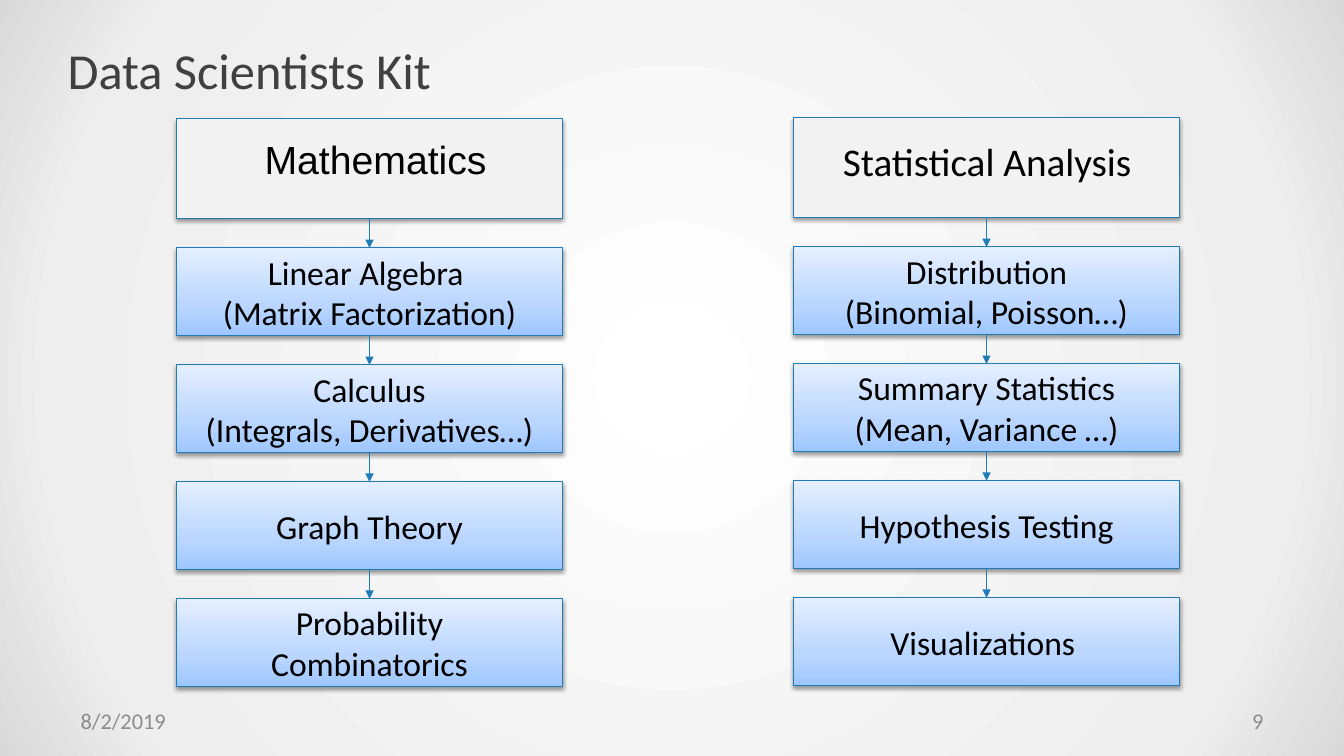
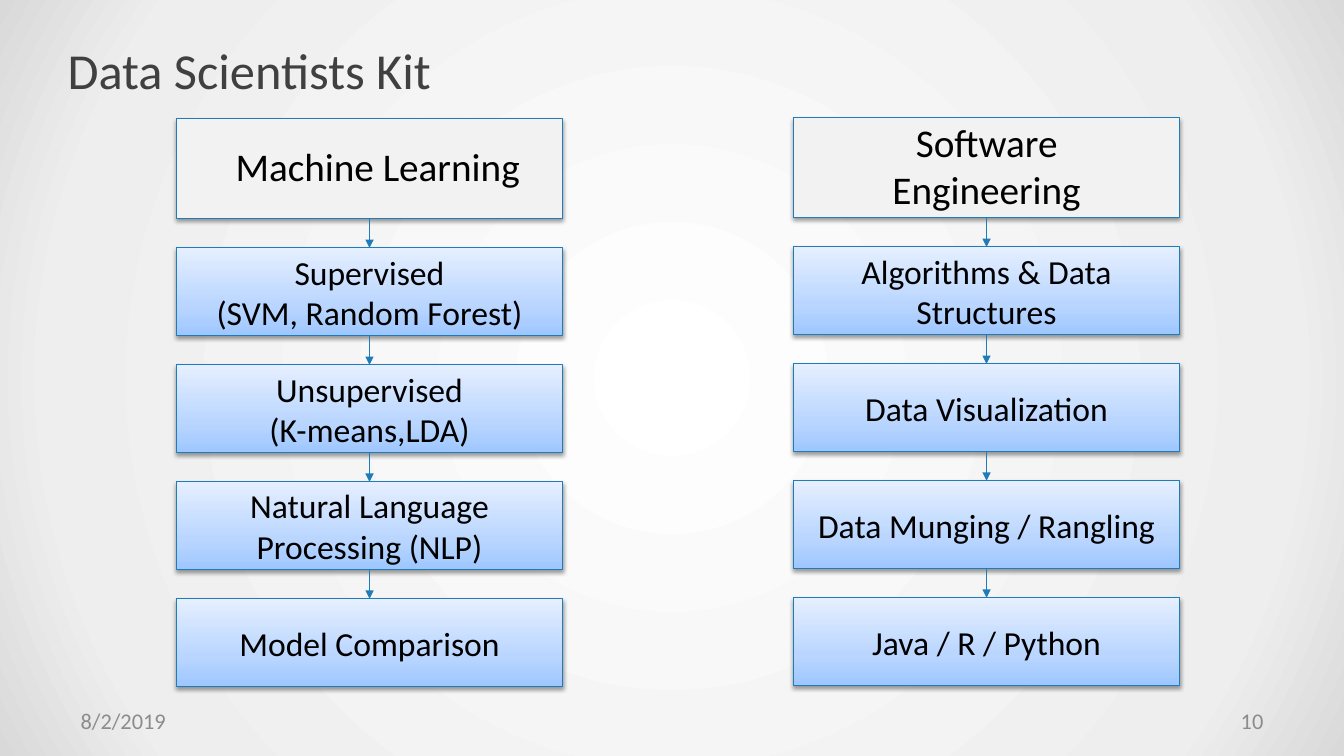
from lxml import etree
from pptx import Presentation
from pptx.dml.color import RGBColor
from pptx.enum.shapes import MSO_CONNECTOR as CONN, MSO_SHAPE as SHAPE
from pptx.enum.text import MSO_ANCHOR as ANCHOR, PP_ALIGN as ALIGN
from pptx.oxml.ns import qn
from pptx.util import Inches, Pt

BLACK = RGBColor(0x00, 0x00, 0x00)
TITLE_GREY = RGBColor(0x40, 0x40, 0x40)
FOOTER_GREY = RGBColor(0x8C, 0x8C, 0x8C)
HEAD_FILL = RGBColor(0xF2, 0xF2, 0xF2)
BLUE = RGBColor(0x20, 0x7B, 0xB9)
BOX_STOPS = [
    (0, RGBColor(0x9E, 0xC7, 0xFF)),
    (35, RGBColor(0xBA, 0xD6, 0xFF)),
    (100, RGBColor(0xE5, 0xEF, 0xFF)),
]
PAGE_STOPS = [
    (0, RGBColor(0xFF, 0xFF, 0xFF)),
    (81, RGBColor(0xEE, 0xEE, 0xEE)),
    (100, RGBColor(0xD9, 0xD9, 0xD9)),
]

# Grid, in inches
COLUMNS = [(1.75, 1.18), (7.87, 1.17)]  # left, top
BOX_W, HEAD_H, STEP_H, GAP = 3.83, 0.99, 0.87, 0.29
MARGIN, FOOT_Y, FOOT_W, FOOT_H = 0.67, 6.95, 3.11, 0.4

# Each column: heading lines, heading font, heading frame, steps
SLIDES = [
    (9, [
        (["Mathematics"], "Arial", (2.51, 1.29, 2.43, 0.57), [
            ["Linear Algebra ", "(Matrix Factorization)"],
            ["Calculus", "(Integrals, Derivatives…)"],
            ["Graph Theory"],
            ["Probability", "Combinatorics"],
        ]),
        (["Statistical Analysis"], "Calibri", (8.24, 1.31, 3.1, 0.57), [
            ["Distribution", "(Binomial, Poisson…)"],
            ["Summary Statistics", "(Mean, Variance …)"],
            ["Hypothesis Testing"],
            ["Visualizations "],
        ]),
    ]),
    (10, [
        (["Machine Learning"], "Calibri", (2.22, 1.36, 3.05, 0.57), [
            ["Supervised", "(SVM, Random Forest)"],
            ["Unsupervised", "(K-means,LDA)"],
            ["Natural Language Processing (NLP)"],
            ["Model Comparison"],
        ]),
        (["Software", "Engineering"], "Calibri", (8.74, 1.12, 2.09, 1.04), [
            ["Algorithms & Data Structures"],
            ["Data Visualization"],
            ["Data Munging / Rangling"],
            ["Java / R / Python"],
        ]),
    ]),
]


def set_stops(grad, stops):
    """Replace the colour stops of a gradFill element."""
    gs_list = grad.find(qn("a:gsLst"))
    for gs in list(gs_list):
        gs_list.remove(gs)
    for pos, color in stops:
        gs = etree.SubElement(gs_list, qn("a:gs"), pos=str(pos * 1000))
        etree.SubElement(gs, qn("a:srgbClr"), val=str(color))


def write(sp, lines, size, color=BLACK, align=ALIGN.CENTER, font="Calibri"):
    tf = sp.text_frame
    for i, line in enumerate(lines):
        p = tf.add_paragraph() if i else tf.paragraphs[0]
        p.alignment = align
        r = p.add_run()
        r.text = line
        r.font.name, r.font.size = font, Pt(size)
        r.font.color.rgb = color


prs = Presentation()
prs.slide_width, prs.slide_height = Inches(13.33), Inches(7.5)

# Shared radial background
master = prs.slide_master
master.background.fill.gradient()
grad = next(master.element.iter(qn("a:gradFill")))
set_stops(grad, PAGE_STOPS)
grad.remove(grad.find(qn("a:lin")))
radial = etree.SubElement(grad, qn("a:path"), path="circle")
etree.SubElement(radial, qn("a:fillToRect"), l="50000", t="50000", r="50000", b="50000")

for number, columns in SLIDES:
    slide = prs.slides.add_slide(prs.slide_layouts[6])
    shapes = slide.shapes

    # Title, date and slide number
    for text, frame, inset, size, color, align in [
        ("Data Scientists Kit", (MARGIN, 0.3, 12, 0.78), 0, 36, TITLE_GREY, ALIGN.LEFT),
        ("8/2/2019", (MARGIN, FOOT_Y, FOOT_W, FOOT_H), 0.13, 16, FOOTER_GREY, ALIGN.LEFT),
        (str(number), (9.55, FOOT_Y, FOOT_W, FOOT_H), 0.13, 16, FOOTER_GREY, ALIGN.RIGHT),
    ]:
        sp = shapes.add_textbox(*map(Inches, frame))
        tf = sp.text_frame
        tf.word_wrap = True
        tf.vertical_anchor = ANCHOR.MIDDLE
        tf.margin_left = tf.margin_right = Inches(inset)
        tf.margin_top = tf.margin_bottom = Inches(0.07)
        write(sp, [text], size, color, align)

    for (left, top), (heading, font, frame, steps) in zip(COLUMNS, columns):
        y, above = top, None
        for lines in [None] + steps:  # None is the heading box
            height = STEP_H if lines else HEAD_H
            sp = shapes.add_shape(SHAPE.RECTANGLE, *map(Inches, (left, y, BOX_W, height)))
            spPr = sp.element.spPr
            if lines:
                sp.fill.gradient()
                sp.fill.gradient_angle = 90
                set_stops(spPr.find(qn("a:gradFill")), BOX_STOPS)
                sp.text_frame.vertical_anchor = ANCHOR.MIDDLE
                sp.text_frame.word_wrap = True
                write(sp, lines, 24)
            else:
                sp.fill.solid()
                sp.fill.fore_color.rgb = HEAD_FILL
            sp.line.color.rgb, sp.line.width = BLUE, Pt(0.75)
            sp.shadow.inherit = False
            shadow = etree.SubElement(
                spPr.find(qn("a:effectLst")), qn("a:outerShdw"),
                blurRad=str(Pt(3.1)), dist=str(Pt(1.6)), dir="5400000", rotWithShape="0")
            black = etree.SubElement(shadow, qn("a:srgbClr"), val=str(BLACK))
            etree.SubElement(black, qn("a:alpha"), val="38000")

            if above is not None:
                arrow = shapes.add_connector(CONN.STRAIGHT, 0, 0, 0, 0)
                arrow.begin_connect(above, 2)
                arrow.end_connect(sp, 0)
                arrow.line.color.rgb, arrow.line.width = BLUE, Pt(0.75)
                spPr = arrow.element.spPr
                etree.SubElement(spPr.find(qn("a:ln")), qn("a:tailEnd"), type="triangle")
                etree.SubElement(spPr, qn("a:effectLst"))
            above = sp
            y += height + GAP

        label = shapes.add_textbox(*map(Inches, frame))
        label.text_frame.word_wrap = False
        write(label, heading, 28, font=font)

prs.save("out.pptx")
